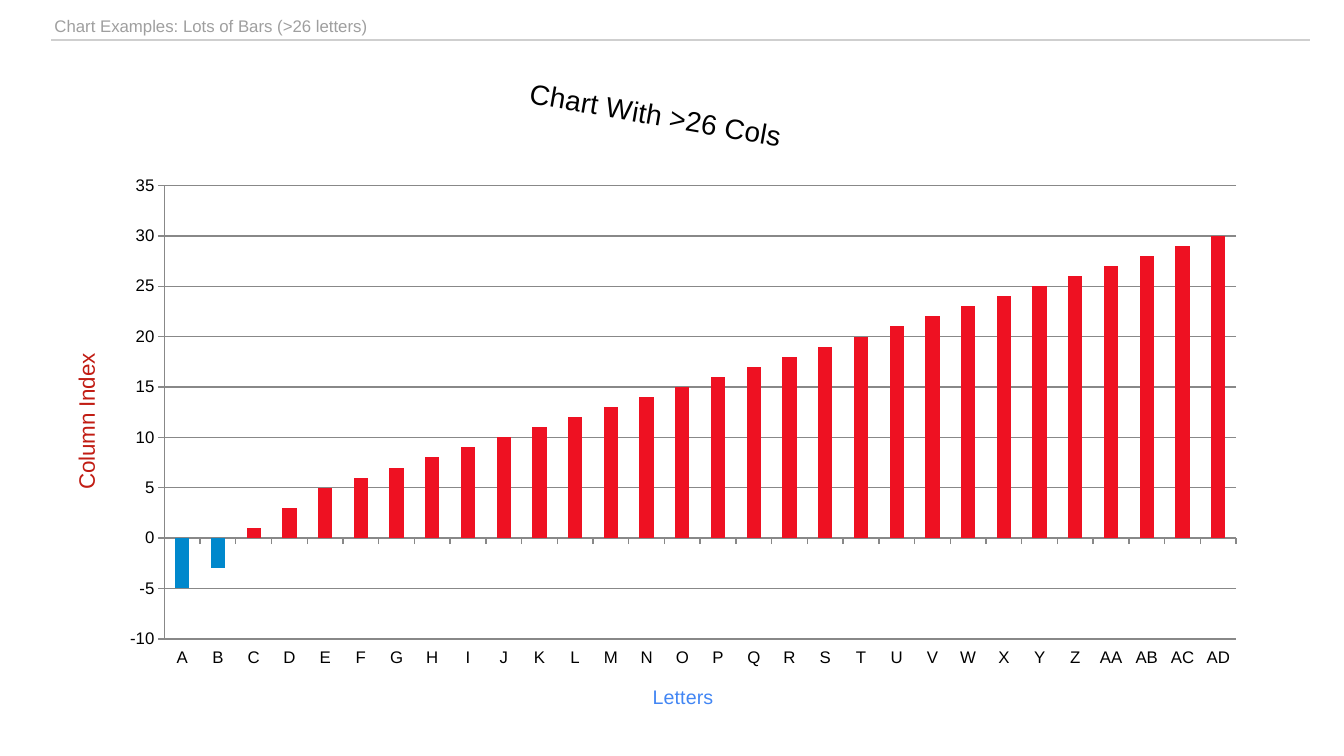
from lxml.etree import SubElement
from pptx import Presentation
from pptx.chart.data import CategoryChartData
from pptx.dml.color import RGBColor
from pptx.enum.chart import XL_CHART_TYPE, XL_TICK_LABEL_POSITION, XL_TICK_MARK
from pptx.oxml.ns import qn
from pptx.util import Emu, Inches, Pt

HEADING = "Chart Examples: Lots of Bars (>26 letters)"
CHART_TITLE = ("Chart With >26 Cols", 20, "000000")
LETTERS_TITLE = ("Letters", 14, "4286F4")
INDEX_TITLE = ("Column Index", 16, "C11C13")
ALPHABET = "ABCDEFGHIJKLMNOPQRSTUVWXYZ"
LETTERS = list(ALPHABET) + ["A" + letter for letter in ALPHABET[:4]]
INDEXES = [-5, -3, 1, 3] + list(range(5, 31))
POSITIVE, NEGATIVE = "EE1122", "0088CC"
AXIS_GRAY, RULE_GRAY, HEADING_GRAY = "888888", "CFCFCF", "9F9F9F"
TITLE_TILT = 10


def color(value):
    return RGBColor.from_string(value)


def style_font(font, size, value):
    font.name = "Arial"
    font.size = Pt(size)
    font.bold = False
    font.color.rgb = color(value)


def style_line(line):
    line.color.rgb = color(AXIS_GRAY)
    line.width = Pt(1)


def write_title(title, content):
    text, size, value = content
    title.text_frame.text = text
    style_font(title.text_frame.paragraphs[0].runs[0].font, size, value)


def style_axis(axis, title):
    write_title(axis.axis_title, title)
    style_font(axis.tick_labels.font, 12, "000000")
    style_line(axis.format.line)
    axis.major_tick_mark = XL_TICK_MARK.OUTSIDE
    axis.minor_tick_mark = XL_TICK_MARK.NONE


def add_heading(slide):
    frame = slide.shapes.add_table(1, 1, Inches(0.5), Inches(0.13), Inches(12.5), Inches(1))
    table = frame.table
    table.first_row = False
    table.horz_banding = False
    table.rows[0].height = Emu(0)
    frame.height = Inches(1)
    cell = table.cell(0, 0)
    cell.margin_left = cell.margin_right = Inches(0.04)
    cell.margin_top = cell.margin_bottom = Inches(0.04)
    cell.text_frame.text = HEADING
    style_font(cell.text_frame.paragraphs[0].runs[0].font, 12, HEADING_GRAY)
    properties = cell._tc.get_or_add_tcPr()
    rule = SubElement(properties, qn("a:lnB"), w=str(Pt(1)))
    rule_fill = SubElement(rule, qn("a:solidFill"))
    SubElement(rule_fill, qn("a:srgbClr"), val=RULE_GRAY)
    cell.fill.background()


def add_letter_chart(slide):
    data = CategoryChartData()
    data.categories = LETTERS
    data.add_series("Series 1", INDEXES)
    chart = slide.shapes.add_chart(
        XL_CHART_TYPE.COLUMN_CLUSTERED,
        Inches(0.5), Inches(0.5), Inches(12), Inches(6.75), data,
    ).chart
    style_font(chart.font, 10, "000000")
    chart.has_legend = False
    write_title(chart.chart_title, CHART_TITLE)
    chart.chart_title.include_in_layout = False
    title_body = chart.chart_title.text_frame._txBody.find(qn("a:bodyPr"))
    title_body.set("rot", str(TITLE_TILT * 60000))

    style_axis(chart.category_axis, LETTERS_TITLE)
    chart.category_axis.tick_label_position = XL_TICK_LABEL_POSITION.LOW
    index_axis = chart.value_axis
    style_axis(index_axis, INDEX_TITLE)
    index_axis.minimum_scale, index_axis.maximum_scale = -10, 35
    index_axis.major_unit = 5
    style_line(index_axis.major_gridlines.format.line)

    plot = chart.plots[0]
    plot.vary_by_categories = False
    plot.gap_width = 150
    bars = plot.series[0]
    bars.invert_if_negative = False
    bars.format.fill.solid()
    bars.format.fill.fore_color.rgb = color(POSITIVE)
    for position, index in enumerate(INDEXES):
        if index < 0:
            fill = bars.points[position].format.fill
            fill.solid()
            fill.fore_color.rgb = color(NEGATIVE)


def main():
    deck = Presentation()
    deck.slide_width, deck.slide_height = Inches(13.33), Inches(7.5)
    slide = deck.slides.add_slide(deck.slide_layouts[6])
    add_heading(slide)
    add_letter_chart(slide)
    deck.save("out.pptx")


if __name__ == "__main__":
    main()
